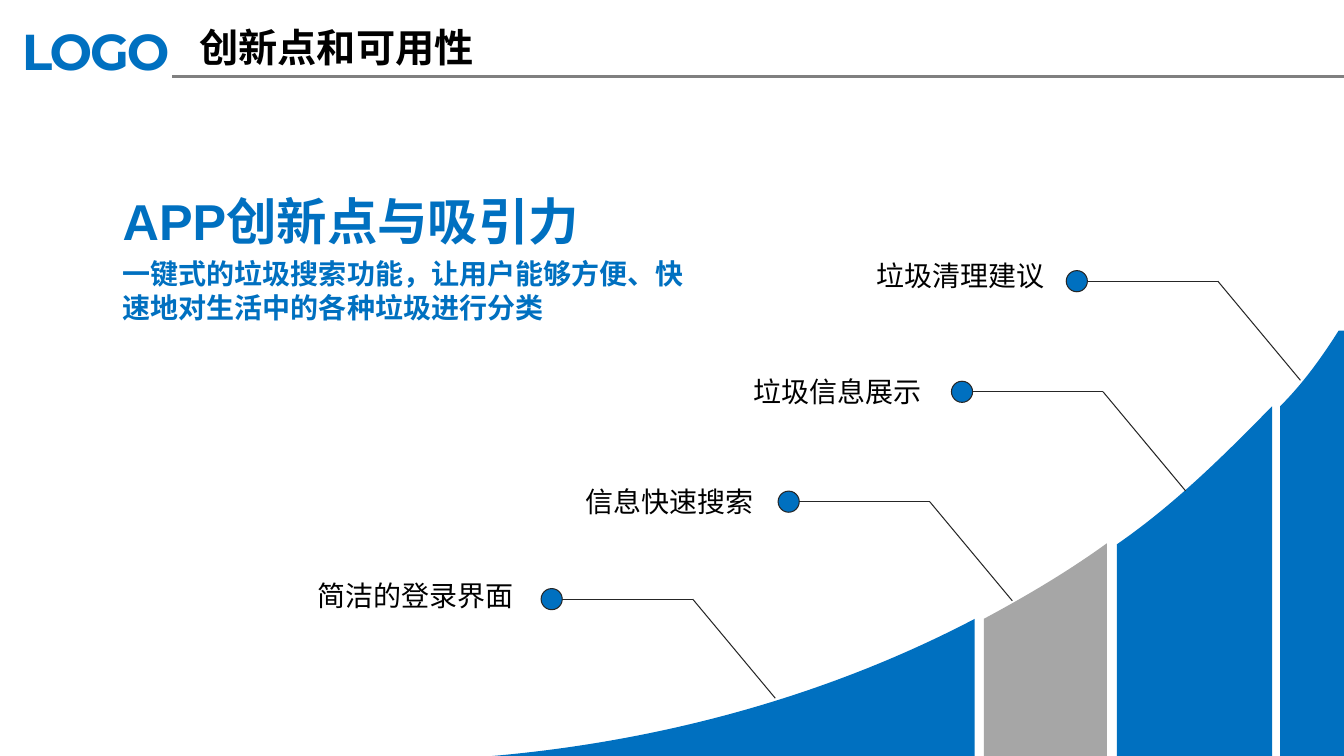
import pptx
import pptx.dml.color
import pptx.enum.shapes
import pptx.enum.text
import pptx.oxml.ns
import pptx.util
import lxml.etree

Pt = pptx.util.Pt
qn = pptx.oxml.ns.qn
ALIGN = pptx.enum.text.PP_ALIGN
ANCHOR = pptx.enum.text.MSO_ANCHOR
SHAPES = pptx.enum.shapes

COLORS = {
    "blue": "0070C0",
    "gray": "A6A6A6",
    "rule": "808080",
    "outline": "262626",
    "black": "000000",
}
HAN_FONT = "Noto Sans CJK SC"


def color(name):
    return pptx.dml.color.RGBColor.from_string(COLORS[name])


def add_text_box(shapes, box, inset=(7.2, 3.6), anchor=ANCHOR.TOP):
    frame = shapes.add_textbox(*map(Pt, box)).text_frame
    frame.word_wrap = True
    frame.vertical_anchor = anchor
    frame.margin_left = frame.margin_right = Pt(inset[0])
    frame.margin_top = frame.margin_bottom = Pt(inset[1])
    return frame


def add_run(paragraph, text, size, font, color_name, bold=False):
    run = paragraph.add_run()
    run.text = text
    run.font.size = Pt(size)
    run.font.name = font
    run.font.bold = bold
    run.font.color.rgb = color(color_name)
    east_asian = lxml.etree.SubElement(run.font._element, qn("a:ea"))
    east_asian.set("typeface", font)
    return run


def add_line(shapes, start, end, color_name, width):
    connector = shapes.add_connector(
        SHAPES.MSO_CONNECTOR.STRAIGHT, *map(Pt, (*start, *end)))
    connector.line.color.rgb = color(color_name)
    connector.line.width = Pt(width)
    lxml.etree.SubElement(connector._element.spPr, qn("a:effectLst"))


def add_header(slide, box):
    left, top, width, height = box
    add_line(slide.shapes, (left + 123, top + height),
             (left + width, top + height), "rule", 2)

    logo = add_text_box(slide.shapes, (left + 6.3, top + 9.4, 134, 53.3), (9.4, 5))
    run = add_run(logo.paragraphs[0], "LOGO", 36, "Montserrat", "blue", True)
    run.font._element.set("spc", "-150")

    title = add_text_box(slide.shapes, (left + 135.4, top + 12.9, 258.5, 41),
                         anchor=ANCHOR.MIDDLE)
    add_run(title.paragraphs[0], "创新点和可用性", 28, HAN_FONT, "black", True)


def curve_first_edge(shape):
    edges = list(shape._element.iter(qn("a:lnTo")))[:3]
    curve = lxml.etree.Element(qn("a:cubicBezTo"))
    edges[0].addprevious(curve)
    for edge in edges:
        curve.append(edge[0])
        edge.getparent().remove(edge)


def add_curve_bars(slide, bottom):
    bars = [
        ("blue", [(321.8, 542.2), (459.4, 534.2), (587.5, 499), (696.2, 442.1)], 696.2),
        ("gray", [(702.7, 442.1), (733.7, 425.5), (763.9, 407.5), (790.6, 388.1)], 790.6),
        ("blue", [(914.4, 290.2), (931, 273.6), (943.9, 255.6), (956.2, 236.2)], 960.5),
        ("blue", [(797.8, 388.8), (839.5, 360), (875.5, 324), (908.6, 290.2)], 908.6),
    ]
    group = slide.shapes.add_group_shape()
    for fill, curve, right in bars:
        corners = [(right, curve[-1][1]), (right, bottom), (curve[0][0], bottom)]
        outline = [point for point in corners if point not in curve]
        points = [(Pt(x), Pt(y)) for x, y in curve + outline]
        builder = group.shapes.build_freeform(*points[0])
        builder.add_line_segments(points[1:], close=True)
        shape = builder.convert_to_shape()
        curve_first_edge(shape)
        shape.shadow.inherit = False
        shape.fill.solid()
        shape.fill.fore_color.rgb = color(fill)
        shape.line.fill.background()


def add_summary(slide, box):
    frame = add_text_box(slide.shapes, box)
    heading = frame.paragraphs[0]
    add_run(heading, "APP创新点与吸引力", 36, "Arial", "blue", True)
    body = frame.add_paragraph()
    body.space_before = Pt(4)
    add_run(body, "一键式的垃圾搜索功能，让用户能够方便、快速地对生活中的各种垃圾进行分类",
            20, "Arial", "blue", True)


def add_callout(slide, left, top):
    size = 15.1
    group = slide.shapes.add_group_shape()
    dot = group.shapes.add_shape(SHAPES.MSO_SHAPE.OVAL,
                                 *map(Pt, (left, top, size, size)))
    dot.shadow.inherit = False
    dot.fill.solid()
    dot.fill.fore_color.rgb = color("blue")
    dot.line.color.rgb = color("outline")
    dot.line.width = Pt(0.75)

    start = (left + size, top + size / 2)
    knee = (start[0] + 93.2, start[1])
    tip = (knee[0] + 59, knee[1] + 70.8)
    add_line(group.shapes, tip, knee, "outline", 0.75)
    add_line(group.shapes, knee, start, "outline", 0.75)


def add_label(slide, text, box):
    label = add_text_box(slide.shapes, box, anchor=ANCHOR.MIDDLE)
    paragraph = label.paragraphs[0]
    paragraph.alignment = ALIGN.CENTER
    add_run(paragraph, text, 20, HAN_FONT, "black")


def main():
    presentation = pptx.Presentation()
    presentation.slide_width = Pt(960)
    presentation.slide_height = Pt(540)
    slide = presentation.slides.add_slide(presentation.slide_layouts[6])

    add_header(slide, (0, 0, 960, 54.6))
    add_curve_bars(slide, 542.2)
    add_summary(slide, (80.6, 132.5, 421.9, 131.8))
    for left, top in [(555.8, 350.8), (386.5, 420.4), (679.6, 272.3), (761.6, 193.3)]:
        add_callout(slide, left, top)
    labels = [
        ("简洁的登录界面", (211, 409.2, 172, 31.7)),
        ("信息快速搜索", (404.6, 342.2, 147.6, 31.7)),
        ("垃圾信息展示", (520.8, 263.7, 154.8, 31.7)),
        ("垃圾清理建议", (612.4, 180.9, 147.6, 31.7)),
    ]
    for text, box in labels:
        add_label(slide, text, box)

    presentation.save("out.pptx")


if __name__ == "__main__":
    main()
